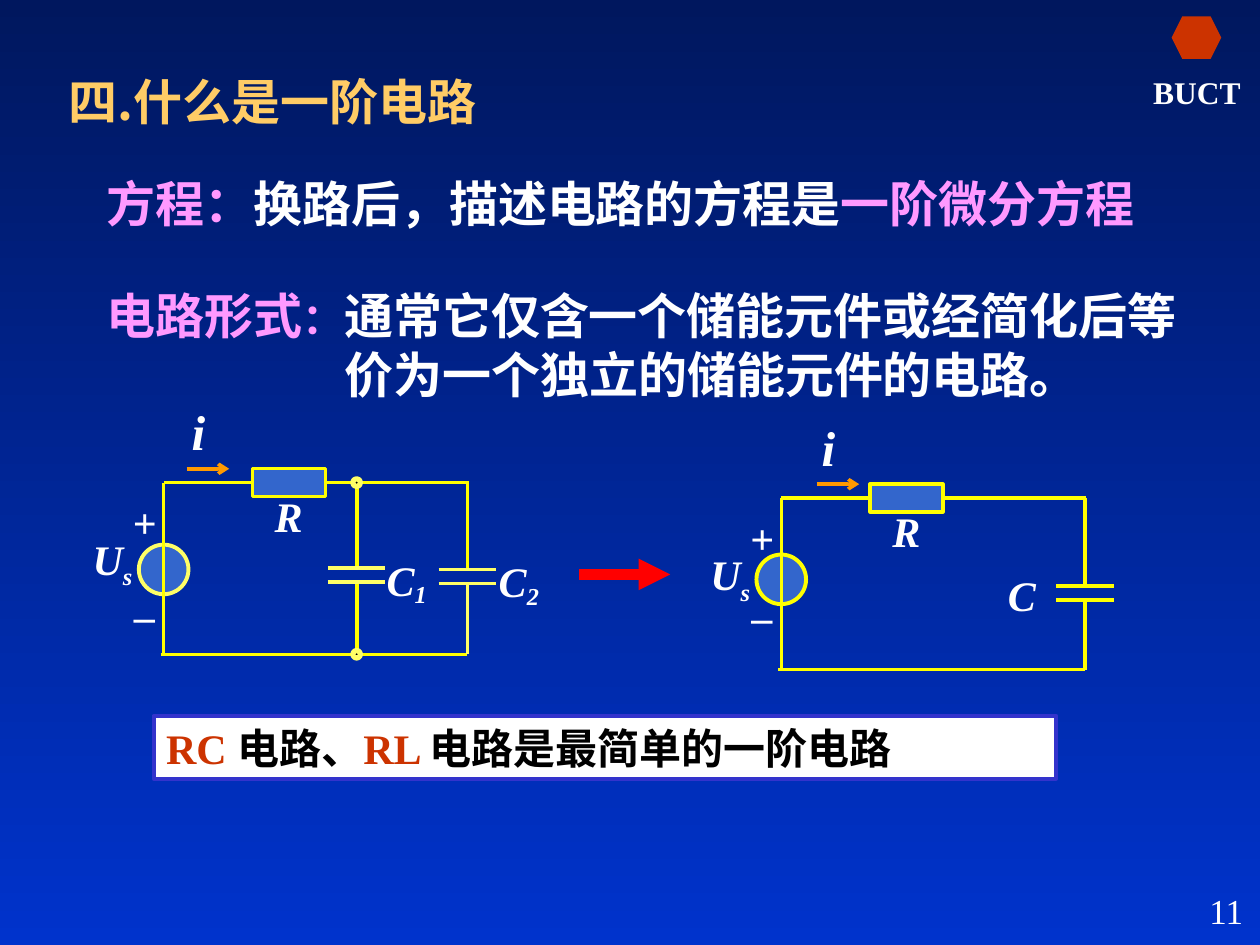
import pptx
import pptx.util
import pptx.dml.color
import pptx.enum.shapes
import pptx.enum.text
import pptx.oxml.ns
import lxml.etree

Cm, Pt = pptx.util.Cm, pptx.util.Pt
Kind = pptx.enum.shapes.MSO_SHAPE
Align = pptx.enum.text.PP_ALIGN
Anchor = pptx.enum.text.MSO_ANCHOR
HUES = {
    "night": "00175E", "blue": "0033CC", "gold": "FFCC66", "pink": "FF99FF",
    "white": "FFFFFF", "black": "000000", "rust": "CC3300", "frame": "3333CC",
    "fill": "3366CC", "wire": "FFFF00", "pale": "FFFF66", "flow": "FF9900",
    "red": "FF0000",
}
LATIN, HAN = "Times New Roman", "Noto Sans CJK SC"


def rgb(hue):
    return pptx.dml.color.RGBColor.from_string(HUES[hue])


def add_xml(node, tag, **attrs):
    return lxml.etree.SubElement(node, pptx.oxml.ns.qn(tag), attrs)


# Text: each part is (words, hue, size)
def write(para, parts, bold=True, slant=False, face=LATIN):
    para.text = parts[0][0]
    for words, *_ in parts[1:]:
        para.add_run().text = words
    for run, (_, hue, size) in zip(para.runs, parts):
        font = run.font
        font.name, font.size = face, Pt(size)
        font.bold, font.italic = bold, slant
        font.color.rgb = rgb(hue)
        add_xml(run._r.get_or_add_rPr(), "a:ea", typeface=HAN)


def set_frame(frame, side=0.0, edge=0.0, anchor=Anchor.MIDDLE):
    frame.word_wrap = True
    frame.auto_size = pptx.enum.text.MSO_AUTO_SIZE.NONE
    frame.vertical_anchor = anchor
    frame.margin_left = frame.margin_right = Cm(side)
    frame.margin_top = frame.margin_bottom = Cm(edge)


def place(item, left, top, width, height):
    item.left, item.top = Cm(left), Cm(top)
    item.width, item.height = Cm(width), Cm(height)


def add_label(slide, x, y, words, size=24, sub="", drop=-25000,
              slant=True, bold=True, width=1.4):
    """Put a text box with its centre at x, y."""
    tall = 1.3
    box = slide.shapes.add_textbox(Cm(x - width / 2), Cm(y - tall / 2), Cm(width), Cm(tall))
    set_frame(box.text_frame)
    para = box.text_frame.paragraphs[0]
    para.alignment = Align.CENTER
    parts = [(words, "white", size)]
    if sub:
        parts.append((sub, "white", size))
    write(para, parts, bold, slant)
    if sub:
        para.runs[1]._r.get_or_add_rPr().set("baseline", str(drop))


# Drawn parts
def add_shape(slide, kind, left, top, width, height, fill, line=None, weight=2):
    shape = slide.shapes.add_shape(kind, Cm(left), Cm(top), Cm(width), Cm(height))
    shape.shadow.inherit = False
    shape.fill.solid()
    shape.fill.fore_color.rgb = rgb(fill)
    if line:
        shape.line.color.rgb = rgb(line)
        shape.line.width = Pt(weight)
    else:
        shape.line.fill.background()
    return shape


def add_dot(slide, x, y, size, fill, line, weight):
    add_shape(slide, Kind.OVAL, x - size / 2, y - size / 2, size, size, fill, line, weight)


def add_line(slide, x1, y1, x2, y2, hue="wire", weight=2, head=None):
    line = slide.shapes.add_connector(
        pptx.enum.shapes.MSO_CONNECTOR.STRAIGHT, Cm(x1), Cm(y1), Cm(x2), Cm(y2))
    line.line.color.rgb = rgb(hue)
    line.line.width = Pt(weight)
    if head:
        add_xml(line.line._get_or_add_ln(), "a:tailEnd", type=head)
    add_xml(line._element.spPr, "a:effectLst")


def add_cap(slide, x, top, low, plate, hue="wire", lead="wire", weight=2):
    """Draw a capacitor and its two leads."""
    gap, half = 0.28, 0.58
    add_line(slide, x, top, x, plate, "wire", weight)
    add_line(slide, x, plate + gap, x, low, lead, weight)
    for y in (plate, plate + gap):
        add_line(slide, x - half, y, x + half, y, hue)


def add_loop(slide, x, y, ring, hue, shift, minus):
    """Draw source, resistor and wires from the top left corner x, y."""
    wide, tall, size = 6.12, 3.46, 1.0
    add_dot(slide, x, y + ring, size, "fill", hue, 2.25)
    add_line(slide, x, y, x, y + tall)
    add_line(slide, x, y, x + wide + 0.03, y)
    add_line(slide, x - 0.06, y + tall, x + wide, y + tall)
    add_shape(slide, Kind.RECTANGLE, x + 1.79, y - 0.28, 1.47, 0.56, "fill", "wire")
    add_line(slide, x + 1.32 - 0.86 + shift, y - 0.28, x + 1.32 + shift, y - 0.28,
             "flow", 2, "arrow")
    add_label(slide, x + 0.7 + shift, y - 1.04, "i", 28)
    add_label(slide, x - 1.03, y + 1.6, "U", sub="s")
    add_label(slide, x + 2.52, y + 0.66, "R")
    add_label(slide, x - 0.38, y + 0.79, "+", slant=False)
    add_label(slide, x - 0.39, y + minus, "–", slant=False)
    return x + wide, y + tall


def add_pair(slide):
    # Left circuit with two capacitors
    x, y, mid = 3.3, 9.73, 7.19
    right, low = add_loop(slide, x, y, 1.75, "pale", 0, 2.67)
    add_cap(slide, right, y, low, 11.48, "pale", "pale")
    add_cap(slide, mid, y, low, 11.45, "pale", weight=2.25)
    for node in (y, low):
        add_dot(slide, mid, node, 0.15, "black", "pale", 3)
    add_label(slide, 8.2, 11.72, "C", sub="1", drop=-18000)
    add_label(slide, 10.46, 11.75, "C", sub="2", drop=-18000)

    # Arrow to the reduced circuit
    add_line(slide, 11.68, 11.58, 13.51, 11.58, "red", 6, "triangle")

    # Right circuit with one capacitor
    x, y = 15.75, 10.04
    right, low = add_loop(slide, x, y, 1.64, "wire", 0.25, 2.38)
    add_cap(slide, right, y, low, 11.81)
    add_label(slide, 20.6, 11.99, "C")


def fill_title(slide):
    title = slide.shapes.title
    place(title, 1.14, 1.3, 11, 1.45)
    set_frame(title.text_frame, 0.25, 0.13)
    para = title.text_frame.paragraphs[0]
    write(para, [("四.什么是一阶电路", "gold", 28)], face=HAN)
    para.alignment = Align.LEFT


def fill_body(slide):
    body = slide.placeholders[1]
    place(body, 1.9, 3.36, 22.5, 4.9)
    frame = body.text_frame
    set_frame(frame, 0.25, 0.13, Anchor.TOP)
    rows = [
        ([("方程：", "pink", 28), ("换路后，描述电路的方程是", "white", 28),
          ("一阶微分方程", "pink", 28)], 0, 0),
        ([("电路形式", "pink", 28), ("：", "pink", 24),
          ("通常它仅含一个储能元件或经简化后等价为一个独立的储能元件的电路。",
           "white", 28)], 30.4, 4.8),
    ]
    frame.text = "\n".join("" for _ in rows)
    for para, (parts, before, hang) in zip(frame.paragraphs, rows):
        props = para._p.get_or_add_pPr()
        props.set("marL", str(Cm(hang)))
        props.set("indent", str(-Cm(hang)))
        add_xml(props, "a:buNone")
        para.alignment = Align.LEFT
        para.line_spacing, para.space_before = Pt(33.7), Pt(before)
        write(para, parts)


def add_note(slide):
    box = add_shape(slide, Kind.RECTANGLE, 3.1, 14.43, 18.19, 1.27, "white", "frame", 2.25)
    set_frame(box.text_frame, 0.25, 0.13)
    para = box.text_frame.paragraphs[0]
    para.alignment = Align.LEFT
    write(para, [("RC ", "rust", 24), ("电路、", "black", 24),
                 ("RL ", "rust", 24), ("电路是最简单的一阶电路", "black", 24)])


def set_back(slide):
    fill = slide.background.fill
    fill.gradient()
    fill.gradient_angle = 270
    for stop, hue, spot in zip(fill.gradient_stops, ("night", "blue"), (0, 1)):
        stop.color.rgb, stop.position = rgb(hue), spot


def main():
    deck = pptx.Presentation()
    deck.slide_width, deck.slide_height = Cm(25.4), Cm(19.05)
    slide = deck.slides.add_slide(deck.slide_layouts[1])
    set_back(slide)
    # Emblem and school name
    add_shape(slide, Kind.HEXAGON, 23.62, 0.33, 1, 0.86, "rust")
    add_label(slide, 24.13, 1.85, "BUCT", 18, slant=False, width=2.2)
    # Text and circuits
    fill_title(slide)
    fill_body(slide)
    add_note(slide)
    add_pair(slide)
    # Page number
    add_label(slide, 24.72, 18.35, "11", 20, slant=False, bold=False)
    deck.save("out.pptx")


if __name__ == "__main__":
    main()
